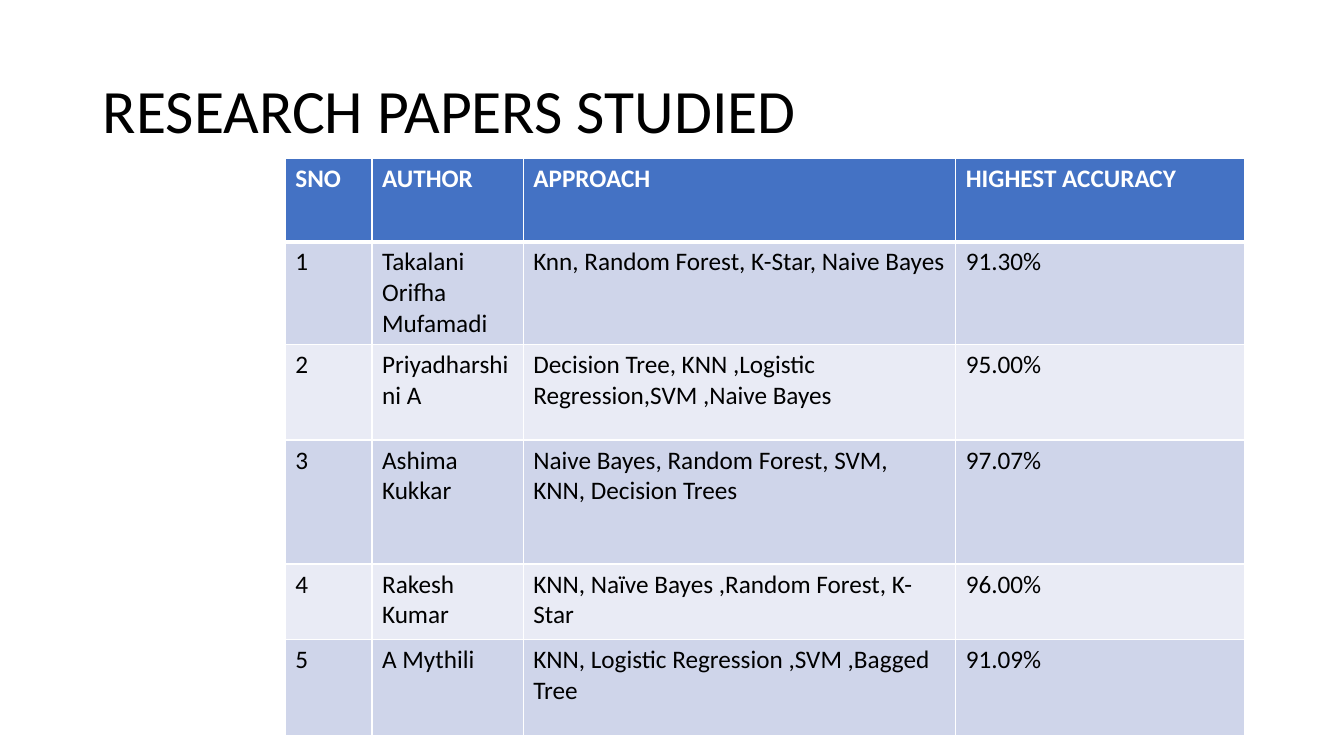
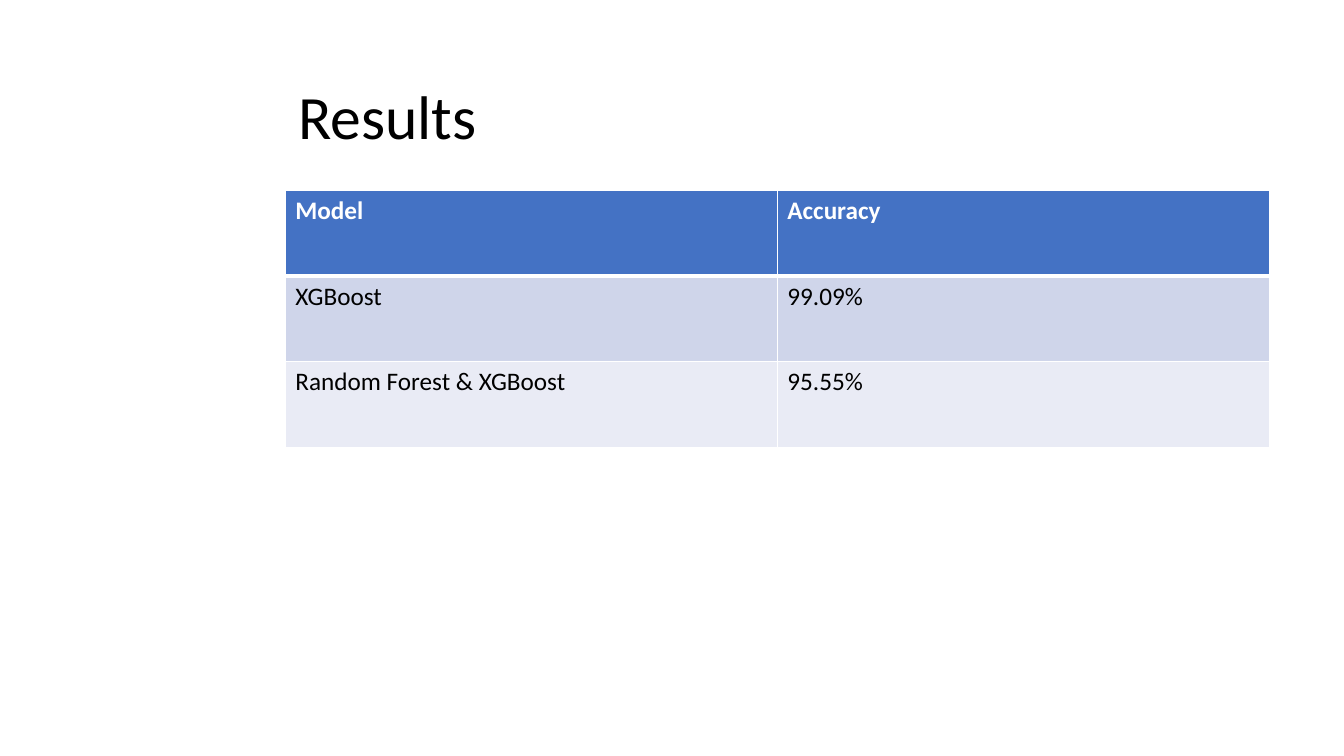
from lxml.etree import SubElement
from pptx import Presentation
from pptx.dml.color import RGBColor
from pptx.enum.text import MSO_ANCHOR, MSO_AUTO_SIZE, PP_ALIGN
from pptx.oxml.ns import qn
from pptx.util import Pt

PX = 9144  # EMU per px, 100 px to the inch
FONT = "Calibri"
BLACK, WHITE = "000000", "FFFFFF"
HEAD, BANDS = "4472C4", ("CFD5EA", "E9EBF5")

PAPERS = [
    ("SNO", "AUTHOR", "APPROACH", "HIGHEST ACCURACY"),
    ("1", "Takalani Orifha Mufamadi", "Knn, Random Forest, K-Star, Naive Bayes", "91.30%"),
    ("2", "Priyadharshini A", "Decision Tree, KNN ,Logistic Regression,SVM ,Naive Bayes", "95.00%"),
    ("3", "Ashima Kukkar", "Naive Bayes, Random Forest, SVM, KNN, Decision Trees", "97.07%"),
    ("4", "Rakesh Kumar", "KNN, Naïve Bayes ,Random Forest, K-Star", "96.00%"),
    ("5", "A Mythili", "KNN, Logistic Regression ,SVM ,Bagged Tree", "91.09%"),
]
RESULTS = [
    ("Model", "Accuracy"),
    ("XGBoost", "99.09%"),
    ("Random Forest & XGBoost", "95.55%"),
]


def color(code):
    return RGBColor.from_string(code)


def style(para, size, code, bold=False):
    font = para.font
    font.name, font.size, font.bold = FONT, Pt(size), bold
    font.color.rgb = color(code)


def add_title(slide, text, box):
    title = slide.shapes.title
    title.left, title.top, title.width, title.height = (n * PX for n in box)
    frame = title.text_frame
    frame.text = text
    frame.auto_size = MSO_AUTO_SIZE.NONE
    frame.vertical_anchor = MSO_ANCHOR.MIDDLE
    para = frame.paragraphs[0]
    para.alignment = PP_ALIGN.LEFT
    para.line_spacing = 0.9
    style(para, 44, BLACK)


def add_edges(cell, top, bottom):
    """Draw white cell borders; top and bottom widths are in points."""
    props = cell._tc.get_or_add_tcPr()
    edges = (("L", 1), ("R", 1), ("T", top), ("B", bottom))
    for spot, (side, width) in enumerate(edges):
        line = props.makeelement(qn(f"a:ln{side}"), {"w": str(Pt(width))})
        fill = SubElement(line, qn("a:solidFill"))
        SubElement(fill, qn("a:srgbClr"), val=WHITE)
        props.insert(spot, line)


def add_grid(slide, data, left, top, widths, heights):
    """Place a table with a header row and banded rows below it."""
    frame = slide.shapes.add_table(
        len(data), len(widths), left * PX, top * PX,
        sum(widths) * PX, sum(heights) * PX)
    table = frame.table
    for col, width in zip(table.columns, widths):
        col.width = width * PX
    for r, (row, height) in enumerate(zip(table.rows, heights)):
        row.height = height * PX
        head = r == 0
        for cell, text in zip(row.cells, data[r]):
            cell.text = text
            cell.fill.solid()
            cell.fill.fore_color.rgb = color(HEAD if head else BANDS[(r - 1) % 2])
            add_edges(cell, 3 if r == 1 else 1, 3 if head else 1)
            style(cell.text_frame.paragraphs[0], 18, WHITE if head else BLACK, head)


def add_page(deck, title, box, data, top, widths, heights):
    slide = deck.slides.add_slide(deck.slide_layouts.get_by_name("Title Only"))
    add_title(slide, title, box)
    add_grid(slide, data, 283, top, widths, heights)


def main():
    deck = Presentation()
    deck.slide_width, deck.slide_height = 1333 * PX, 750 * PX
    add_page(deck, "RESEARCH PAPERS STUDIED", (92, 40, 1150, 145), PAPERS,
             157, (86, 150, 429, 286), (83, 95, 95, 123, 75, 95))
    add_page(deck, "Results", (286, 49, 975, 140), RESULTS,
             189, (488, 488), (85,) * 3)
    deck.save("out.pptx")


if __name__ == "__main__":
    main()
